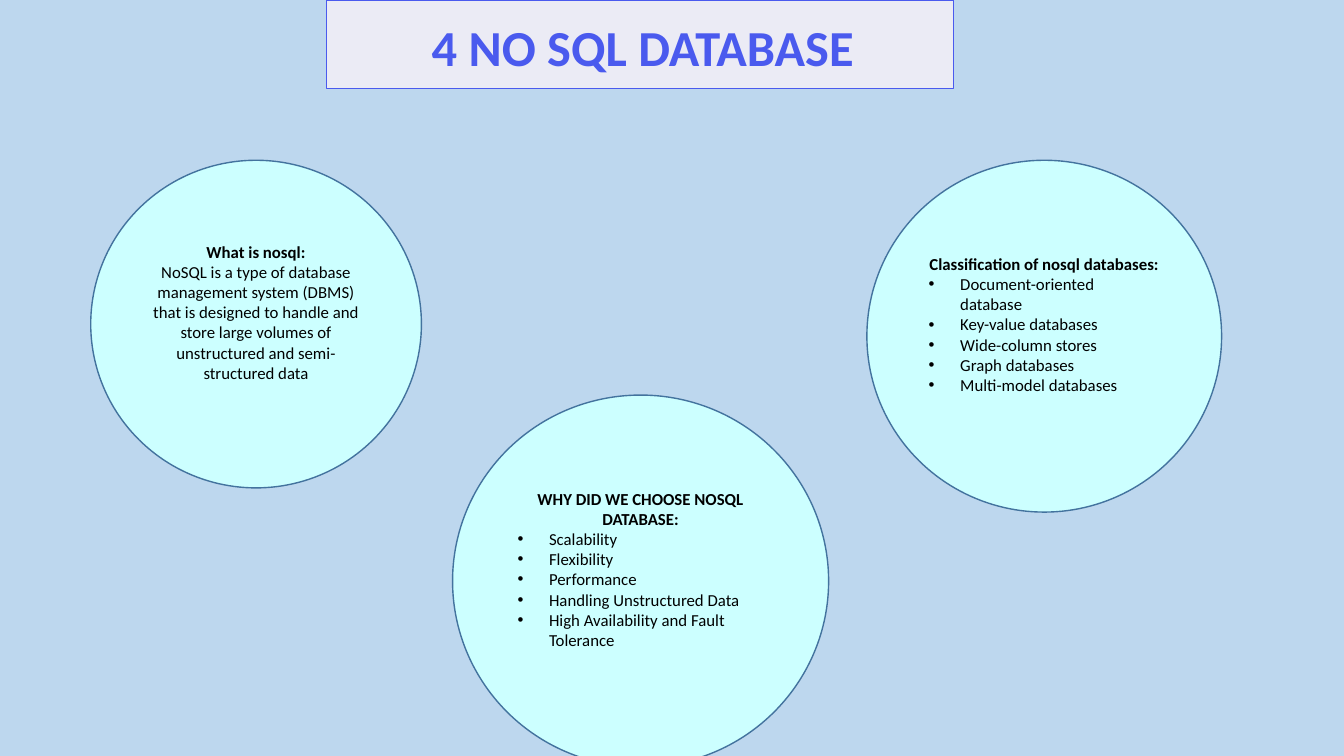
from dataclasses import dataclass

from pptx import Presentation
from pptx import util as u
from pptx.dml.color import RGBColor
from pptx.enum import shapes, text
from pptx.oxml.ns import qn
from pptx.shapes.autoshape import Shape
from pptx.slide import Slide
from pptx.text.text import _Paragraph


@dataclass(frozen=True)
class Theme:
    font: str = "Calibri"
    backdrop: str = "BDD7EE"
    title_fill: str = "EBEBF5"
    title_ink: str = "4A5AEE"
    circle_fill: str = "CCFFFF"
    circle_line: str = "43739E"
    body_ink: str = "000000"
    title_size: int = 36
    body_size: int = 12


@dataclass(frozen=True)
class Box:
    left: float
    top: float
    width: float
    height: float


@dataclass(frozen=True)
class Topic:
    box: Box
    heading: str
    lines: tuple[str, ...]
    bulleted: bool = True


THEME = Theme()
BULLET_INDENT = 22.5
TITLE_INDENT = 68
CIRCLE_BOTTOM_INSET = 20.6  # lifts the centred text above the middle

TITLE_BOX = Box(233.3, 0, 447.8, 63.4)
TOPICS = (
    Topic(
        Box(64.8, 114.5, 236.2, 234),
        "What is nosql:",
        ("NoSQL is a type of database management system (DBMS) that is designed "
         "to handle and store large volumes of unstructured and semi-structured data",),
        bulleted=False,
    ),
    Topic(
        Box(619.2, 114.5, 253.4, 251.3),
        "Classification of nosql databases:",
        ("Document-oriented database", "Key-value databases", "Wide-column stores",
         "Graph databases", "Multi-model databases"),
    ),
    Topic(
        Box(323.3, 282.2, 268.6, 265.7),
        "WHY DID WE CHOOSE NOSQL DATABASE:",
        ("Scalability", "Flexibility", "Performance", "Handling Unstructured Data",
         "High Availability and Fault Tolerance"),
    ),
)


def add_panel(slide: Slide, kind: shapes.MSO_SHAPE, box: Box, fill: str, line: str) -> Shape:
    panel = slide.shapes.add_shape(
        kind, u.Pt(box.left), u.Pt(box.top), u.Pt(box.width), u.Pt(box.height))
    panel.shadow.inherit = False
    panel.fill.solid()
    panel.fill.fore_color.rgb = RGBColor.from_string(fill)
    panel.line.color.rgb = RGBColor.from_string(line)
    panel.line.width = u.Pt(1)
    panel.text_frame.word_wrap = True
    panel.text_frame.vertical_anchor = text.MSO_ANCHOR.MIDDLE
    return panel


def write(paragraph: _Paragraph, wording: str, size: int, ink: str, bold: bool,
          align: text.PP_ALIGN) -> None:
    paragraph.alignment = align
    run = paragraph.add_run()
    run.text = wording
    formats = {"name": THEME.font, "size": u.Pt(size), "bold": bold}
    for attribute, value in formats.items():
        setattr(run.font, attribute, value)
    run.font.color.rgb = RGBColor.from_string(ink)


def add_bullet(paragraph: _Paragraph) -> None:
    """Give the paragraph a round bullet with a hanging indent."""
    properties = paragraph._p.get_or_add_pPr()
    properties.set("marL", str(u.Pt(BULLET_INDENT)))
    properties.set("indent", str(-u.Pt(BULLET_INDENT)))
    for tag, attribute, value in (("a:buFont", "typeface", "Arial"),
                                  ("a:buChar", "char", "•")):
        mark = properties.makeelement(qn(tag), {attribute: value})
        properties.append(mark)


def add_title(slide: Slide) -> None:
    banner = add_panel(slide, shapes.MSO_SHAPE.RECTANGLE, TITLE_BOX,
                       THEME.title_fill, THEME.title_ink)
    title = banner.text_frame.paragraphs[0]
    write(title, "4 NO SQL DATABASE", THEME.title_size, THEME.title_ink, True,
          text.PP_ALIGN.LEFT)
    title.line_spacing = 1.07
    title.space_before = u.Pt(2)
    title._p.get_or_add_pPr().set("marL", str(u.Pt(TITLE_INDENT)))


def add_topic(slide: Slide, topic: Topic) -> None:
    circle = add_panel(slide, shapes.MSO_SHAPE.FLOWCHART_CONNECTOR, topic.box,
                       THEME.circle_fill, THEME.circle_line)
    frame = circle.text_frame
    frame.margin_bottom = u.Pt(CIRCLE_BOTTOM_INSET)
    write(frame.paragraphs[0], topic.heading, THEME.body_size, THEME.body_ink, True,
          text.PP_ALIGN.CENTER)
    align = text.PP_ALIGN.LEFT if topic.bulleted else text.PP_ALIGN.CENTER
    for line in topic.lines:
        paragraph = frame.add_paragraph()
        write(paragraph, line, THEME.body_size, THEME.body_ink, False, align)
        if topic.bulleted:
            add_bullet(paragraph)


def main() -> None:
    deck = Presentation()
    deck.slide_width, deck.slide_height = u.Pt(960), u.Pt(540)
    slide = deck.slides.add_slide(deck.slide_layouts[6])
    slide.background.fill.solid()
    slide.background.fill.fore_color.rgb = RGBColor.from_string(THEME.backdrop)
    add_title(slide)
    for topic in TOPICS:
        add_topic(slide, topic)
    deck.save("out.pptx")


if __name__ == "__main__":
    main()
